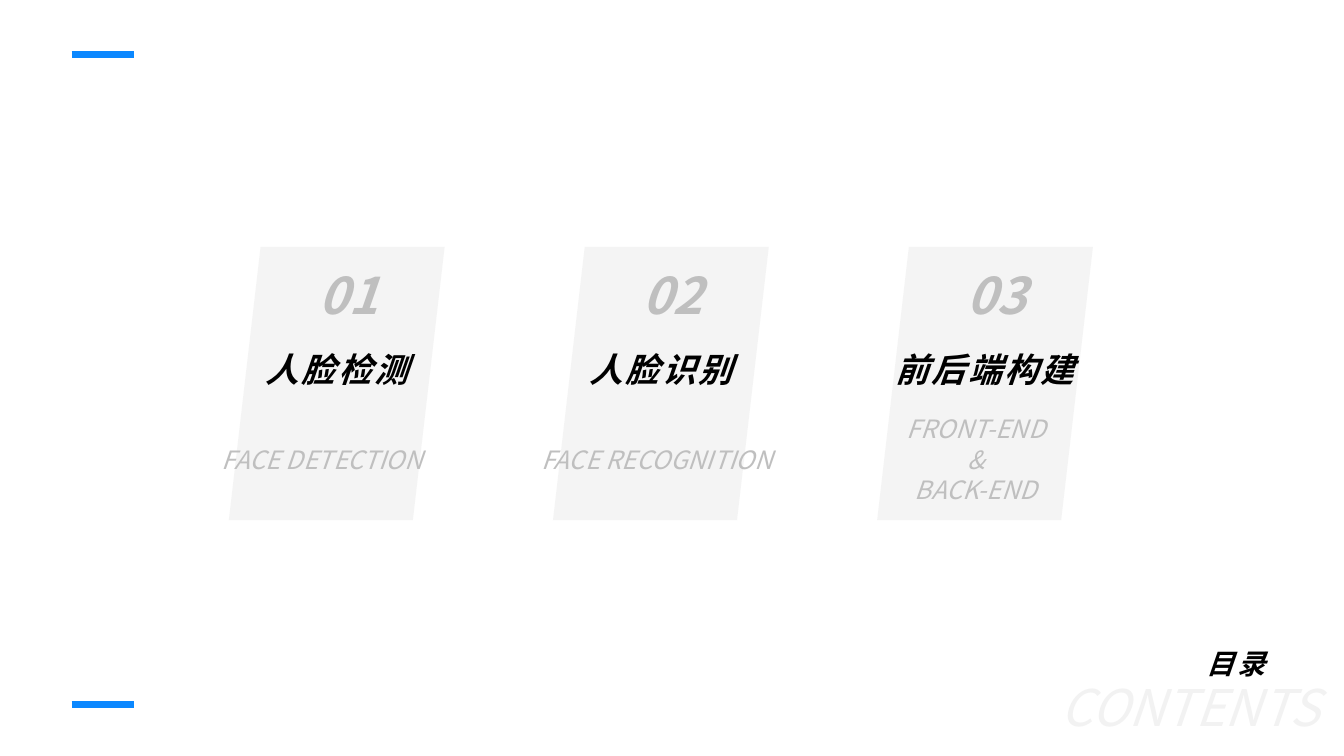
from lxml.etree import SubElement
from pptx import Presentation
from pptx.dml.color import RGBColor
from pptx.enum.shapes import MSO_CONNECTOR, MSO_SHAPE
from pptx.enum.text import MSO_AUTO_SIZE, PP_ALIGN
from pptx.oxml.ns import qn
from pptx.util import Inches, Pt

FONT = "Noto Sans CJK SC"
BLACK, GREY, PALE, BLUE = "000000", "BFBFBF", "F2F2F2", "0B88FF"
CARD_WIDTH, CARD_HEIGHT, CARD_PITCH = 2.14, 2.71, 3.215
# number, title, title width, caption, caption left within the card, width, height
CARDS = [
    ("01", "人脸检测", 2.02, "FACE DETECTION", -0.23, 2.31, 0.4),
    ("02", "人脸识别", 2.39, "FACE RECOGNITION", -0.28, 2.62, 0.4),
    ("03", "前后端构建", 2.75, "FRONT-END\n&\nBACK-END", -0.68, 3.32, 1.01),
]


def color(value):
    return RGBColor.from_string(value)


def add_text(page, text, left, top, width, height, size, ink,
             bold=False, spacing=0, centered=False):
    """Add italic text; centered text wraps, other text keeps to one line."""
    box = page.shapes.add_textbox(Inches(left), Inches(top), Inches(width), Inches(height))
    frame = box.text_frame
    frame.word_wrap = centered
    frame.auto_size = MSO_AUTO_SIZE.SHAPE_TO_FIT_TEXT
    frame.text = text
    for para in frame.paragraphs:
        para.alignment = PP_ALIGN.CENTER if centered else PP_ALIGN.LEFT
        for span in para.runs:
            span.font.size = Pt(size)
            span.font.bold = bold
            span.font.italic = True
            span.font.color.rgb = color(ink)
            span.font.name = FONT
            properties = span.font._element
            SubElement(properties, qn("a:ea")).set("typeface", FONT)
            if spacing:
                properties.set("spc", str(spacing * 100))


def add_card(page, left, top, card):
    number, title, title_width, caption, caption_left, caption_width, caption_height = card
    panel = page.shapes.add_shape(MSO_SHAPE.PARALLELOGRAM, Inches(left), Inches(top),
                                  Inches(CARD_WIDTH), Inches(CARD_HEIGHT))
    panel.adjustments[0] = 0.147
    panel.shadow.inherit = False
    panel.fill.solid()
    panel.fill.fore_color.rgb = color(PALE)
    fill_color = panel._element.spPr.find(qn("a:solidFill"))[0]
    SubElement(fill_color, qn("a:alpha")).set("val", "80000")
    panel.line.fill.background()

    add_text(page, number, left + 0.79, top + 0.12, 0.83, 0.71, 36, GREY, bold=True)
    add_text(page, title, left + (CARD_WIDTH - title_width) / 2, top + 0.96,
             title_width, 0.5, 24, BLACK, bold=True, spacing=2, centered=True)
    add_text(page, caption, left + caption_left, top + 2.11 - caption_height / 2,
             caption_width, caption_height, 18, GREY, centered=True)


def add_accent_line(page, left, top, width):
    line = page.shapes.add_connector(MSO_CONNECTOR.STRAIGHT, Inches(left), Inches(top),
                                     Inches(left + width), Inches(top))
    line.line.color.rgb = color(BLUE)
    line.line.width = Pt(5)
    SubElement(line._element.spPr, qn("a:effectLst"))


def add_heading(page, left, top):
    """Add the page heading over its pale English echo."""
    add_text(page, "目录", left + 1.45, top, 0.82, 0.44, 20, BLACK, bold=True, spacing=2)
    add_text(page, "CONTENTS", left, top + 0.3, 2.91, 0.71, 36, PALE)


def main():
    deck = Presentation()
    deck.slide_width, deck.slide_height = Inches(13.33), Inches(7.5)
    page = deck.slides.add_slide(deck.slide_layouts[6])
    page.background.fill.solid()
    page.background.fill.fore_color.rgb = color("FFFFFF")

    for index, card in enumerate(CARDS):
        add_card(page, 2.27 + index * CARD_PITCH, 2.45, card)
    add_heading(page, 10.42, 6.36)
    for top in (0.54, 6.99):
        add_accent_line(page, 0.71, top, 0.62)

    deck.save("out.pptx")


if __name__ == "__main__":
    main()
